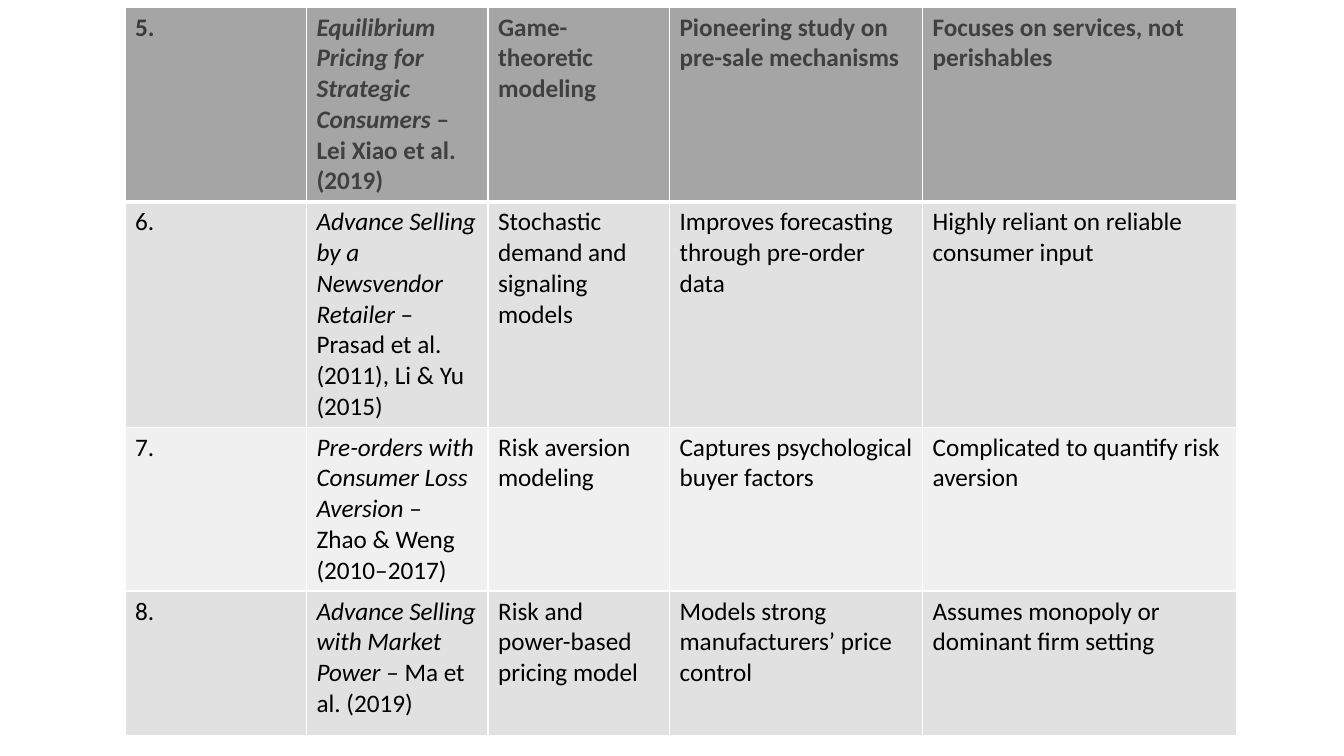
from dataclasses import dataclass

import lxml.etree
import pptx
import pptx.dml.color
import pptx.oxml.ns
import pptx.table
import pptx.util

Inches = pptx.util.Inches
Color = pptx.dml.color.RGBColor


@dataclass(frozen=True)
class Theme:
    font: str = "Calibri"
    text_size: float = 18
    header_number: str = "3B3838"
    header_text: str = "404040"
    body_text: str = "000000"
    header_fill: str = "A5A5A5"
    band_fills: tuple[str, str] = ("E1E1E1", "F0F0F0")
    border: str = "FFFFFF"
    thin_border: float = 1
    header_border: float = 3


@dataclass(frozen=True)
class Study:
    number: str
    title: str
    authors: str
    method: str
    strength: str
    limitation: str
    height: float


THEME = Theme()
TABLE_LEFT, TABLE_TOP = 1.24, 0.07
COLUMN_WIDTHS = (1.8, 1.8, 1.8, 2.51, 3.11)

STUDIES = (
    Study("5.", "Equilibrium Pricing for Strategic Consumers",
          " – Lei Xiao et al. (2019)", "Game-theoretic modeling",
          "Pioneering study on pre-sale mechanisms",
          "Focuses on services, not perishables", 1.8),
    Study("6.", "Advance Selling by a Newsvendor Retailer",
          " – Prasad et al. (2011), Li & Yu (2015)",
          "Stochastic demand and signaling models",
          "Improves forecasting through pre-order data",
          "Highly reliant on reliable consumer input", 2.09),
    Study("7.", "Pre-orders with Consumer Loss Aversion",
          " – Zhao & Weng (2010–2017)", "Risk aversion modeling",
          "Captures psychological buyer factors",
          "Complicated to quantify risk aversion", 1.52),
    Study("8.", "Advance Selling with Market Power",
          " – Ma et al. (2019)", "Risk and power-based pricing model",
          "Models strong manufacturers’ price control",
          "Assumes monopoly or dominant firm setting", 1.43),
)


def add_span(cell: pptx.table._Cell, text: str, color: str,
             bold: bool, italic: bool = False) -> None:
    span = cell.text_frame.paragraphs[0].add_run()
    span.text = text
    span.font.name = THEME.font
    span.font.size = pptx.util.Pt(THEME.text_size)
    span.font.bold = bold
    span.font.italic = italic
    span.font.color.rgb = Color.from_string(color)


def set_borders(cell: pptx.table._Cell, top: float, bottom: float) -> None:
    """Draw the four cell edges; the schema wants them ahead of the fill."""
    qn = pptx.oxml.ns.qn
    properties = cell._tc.get_or_add_tcPr()
    widths = {"L": THEME.thin_border, "R": THEME.thin_border, "T": top, "B": bottom}
    for index, (side, width) in enumerate(widths.items()):
        line = lxml.etree.Element(qn(f"a:ln{side}"), w=str(pptx.util.Pt(width)))
        fill = lxml.etree.SubElement(line, qn("a:solidFill"))
        lxml.etree.SubElement(fill, qn("a:srgbClr"), val=THEME.border)
        properties.insert(index, line)


def fill_row(table: pptx.table.Table, row: int, study: Study) -> None:
    header = row == 0
    color = THEME.header_text if header else THEME.body_text
    number_color = THEME.header_number if header else THEME.body_text
    background = THEME.header_fill if header else THEME.band_fills[(row - 1) % 2]
    cells = [table.cell(row, column) for column in range(len(COLUMN_WIDTHS))]

    add_span(cells[0], study.number, number_color, header)
    add_span(cells[1], study.title, color, header, italic=True)
    add_span(cells[1], study.authors, color, header)
    for cell, text in zip(cells[2:], (study.method, study.strength, study.limitation)):
        add_span(cell, text, color, header)

    for cell in cells:
        cell.fill.solid()
        cell.fill.fore_color.rgb = Color.from_string(background)
        set_borders(cell,
                    top=THEME.header_border if row == 1 else THEME.thin_border,
                    bottom=THEME.header_border if header else THEME.thin_border)


def main() -> None:
    deck = pptx.Presentation()
    deck.slide_width, deck.slide_height = Inches(13.33), Inches(7.5)
    page = deck.slides.add_slide(deck.slide_layouts.get_by_name("Blank"))

    table = page.shapes.add_table(
        len(STUDIES), len(COLUMN_WIDTHS), Inches(TABLE_LEFT), Inches(TABLE_TOP),
        Inches(sum(COLUMN_WIDTHS)), Inches(sum(study.height for study in STUDIES)),
    ).table
    for column, width in zip(table.columns, COLUMN_WIDTHS):
        column.width = Inches(width)
    for row, study in enumerate(STUDIES):
        table.rows[row].height = Inches(study.height)
        fill_row(table, row, study)

    deck.save("out.pptx")


if __name__ == "__main__":
    main()
